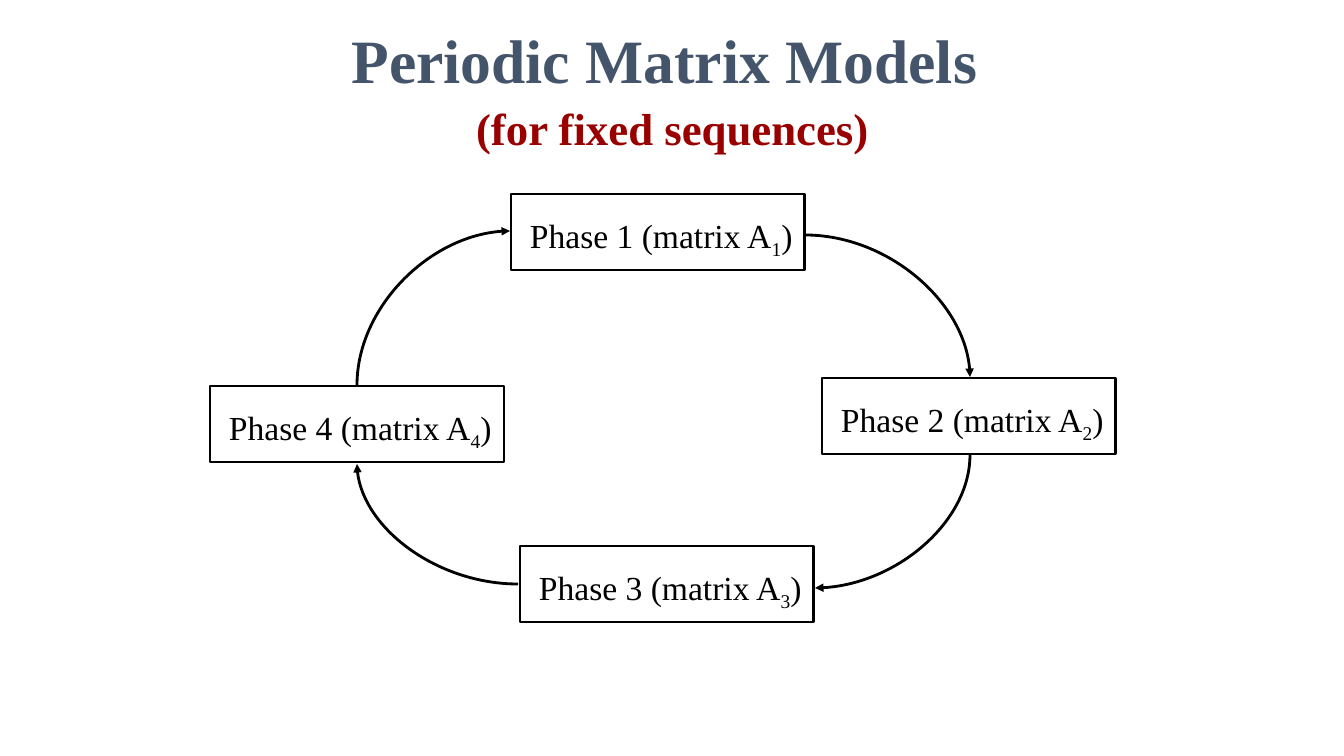
from dataclasses import dataclass
from lxml.etree import SubElement
from pptx import Presentation
from pptx.dml.color import RGBColor
from pptx.enum.shapes import MSO_CONNECTOR, MSO_SHAPE
from pptx.enum.text import MSO_ANCHOR, MSO_AUTO_SIZE, PP_ALIGN
from pptx.oxml.ns import qn
from pptx.util import Pt


@dataclass(frozen=True)
class Theme:
    font: str = "Times New Roman"
    heading: RGBColor = RGBColor(0x44, 0x54, 0x6A)
    subheading: RGBColor = RGBColor(0x99, 0x00, 0x00)
    ink: RGBColor = RGBColor(0, 0, 0)
    heading_size: int = 44
    subheading_size: int = 32
    phase_size: int = 24
    line_width: int = 2


THEME = Theme()
SLIDE_SIZE = (1344, 756)
HEADING_AREA = (244, 33, 857, 126)
HEADING = "Periodic Matrix Models "
SUBHEADING = "(for fixed sequences)"
PHASE_CORNERS = [(511, 194), (822, 378), (520, 546), (210, 386)]
PHASE_SIZE = (294, 76)
LABEL_OFFSET = (9, 16)
LABEL_SIZE = (286, 50)
TRANSITIONS = [
    ((805, 235), (970, 377)),
    ((970, 455), (815, 588)),
    ((518, 584), (357, 464)),
    ((357, 385), (510, 231)),
]


def px(*lengths):
    return [round(length * 914400 / 100.8) for length in lengths]


def style(run, size, color, bold=False):
    run.font.name = THEME.font
    run.font.size = Pt(size)
    run.font.color.rgb = color
    run.font.bold = bold


def add_heading(slide):
    frame = slide.shapes.add_textbox(*px(*HEADING_AREA)).text_frame
    frame.word_wrap = True
    frame.vertical_anchor = MSO_ANCHOR.BOTTOM
    frame.text = f"{HEADING}\n{SUBHEADING}"
    looks = [
        (THEME.heading_size, THEME.heading),
        (THEME.subheading_size, THEME.subheading),
    ]
    for line, (size, color) in zip(frame.paragraphs, looks):
        line.alignment = PP_ALIGN.CENTER
        style(line.runs[0], size, color, bold=True)
    frame.paragraphs[1].space_before = Pt(3)


def add_phase(slide, number, left, top):
    box = slide.shapes.add_shape(MSO_SHAPE.RECTANGLE, *px(left, top, *PHASE_SIZE))
    box.shadow.inherit = False
    box.fill.background()
    box.line.color.rgb = THEME.ink
    box.line.width = Pt(THEME.line_width)

    dx, dy = LABEL_OFFSET
    label = slide.shapes.add_textbox(*px(left + dx, top + dy, *LABEL_SIZE))
    frame = label.text_frame
    frame.word_wrap = False
    frame.auto_size = MSO_AUTO_SIZE.SHAPE_TO_FIT_TEXT
    line = frame.paragraphs[0]
    for part in (f"Phase {number} (matrix A", str(number), ")"):
        run = line.add_run()
        run.text = part
        style(run, THEME.phase_size, THEME.ink)
    line.runs[1].font._element.set("baseline", "-25000")


def add_transition(slide, quarter_turns, start, end):
    (x1, y1), (x2, y2) = start, end
    width, height = abs(x2 - x1), abs(y2 - y1)
    if quarter_turns % 2:
        width, height = height, width
    left, top = (x1 + x2 - width) / 2, (y1 + y2 - height) / 2
    arrow = slide.shapes.add_connector(
        MSO_CONNECTOR.CURVE, *px(left, top, left + width, top + height)
    )
    arrow.line.color.rgb = THEME.ink
    arrow.line.width = Pt(THEME.line_width)
    properties = arrow._element.spPr
    properties.find(qn("a:xfrm")).set("rot", str(quarter_turns * 5400000))
    properties.find(qn("a:prstGeom")).set("prst", "curvedConnector2")
    SubElement(properties.find(qn("a:ln")), qn("a:tailEnd"), type="triangle")
    SubElement(properties, qn("a:effectLst"))


def main():
    presentation = Presentation()
    presentation.slide_width, presentation.slide_height = px(*SLIDE_SIZE)
    slide = presentation.slides.add_slide(presentation.slide_layouts[6])
    add_heading(slide)
    for number, corner in enumerate(PHASE_CORNERS, 1):
        add_phase(slide, number, *corner)
    for quarter_turns, (start, end) in enumerate(TRANSITIONS):
        add_transition(slide, quarter_turns, start, end)
    presentation.save("out.pptx")


if __name__ == "__main__":
    main()
